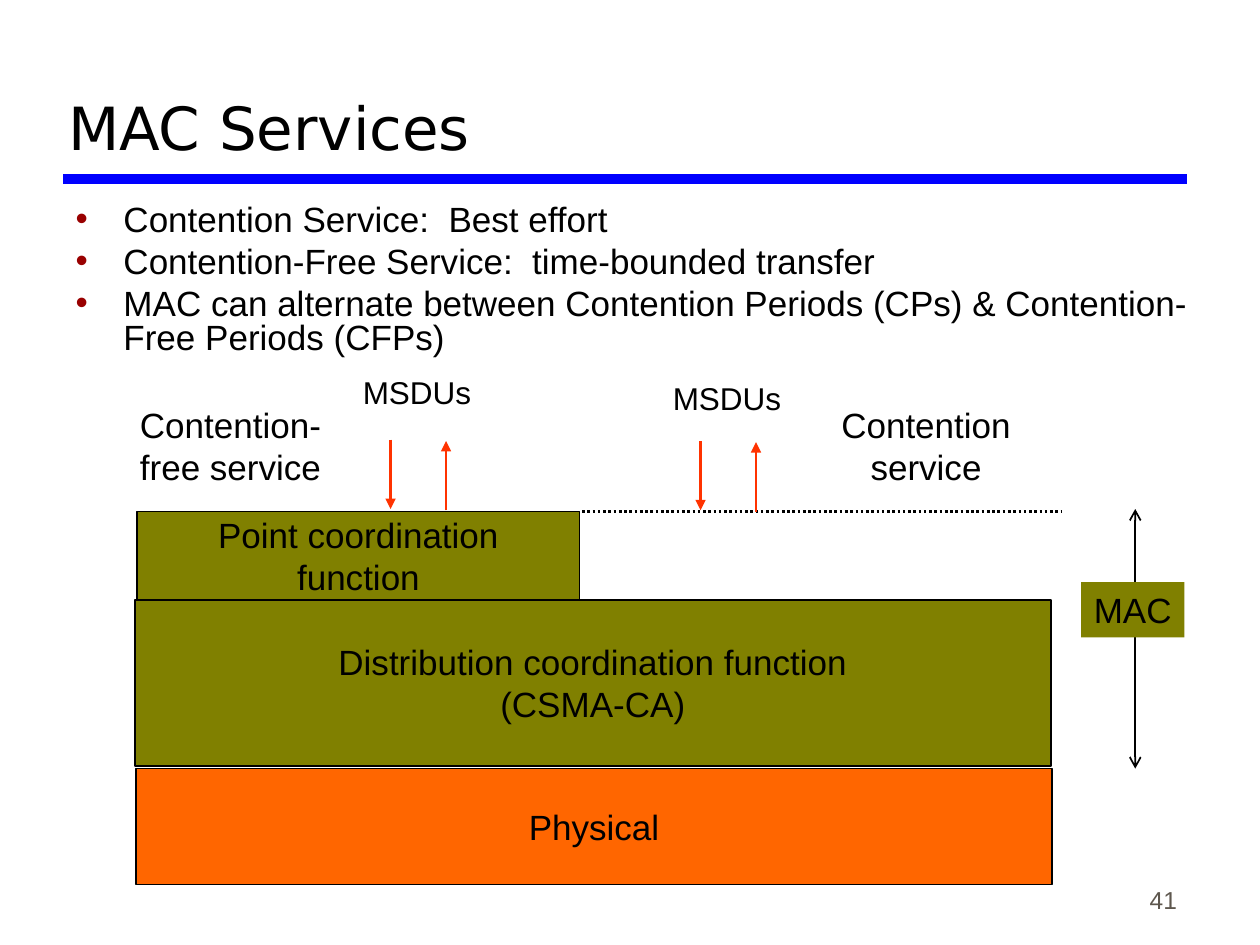
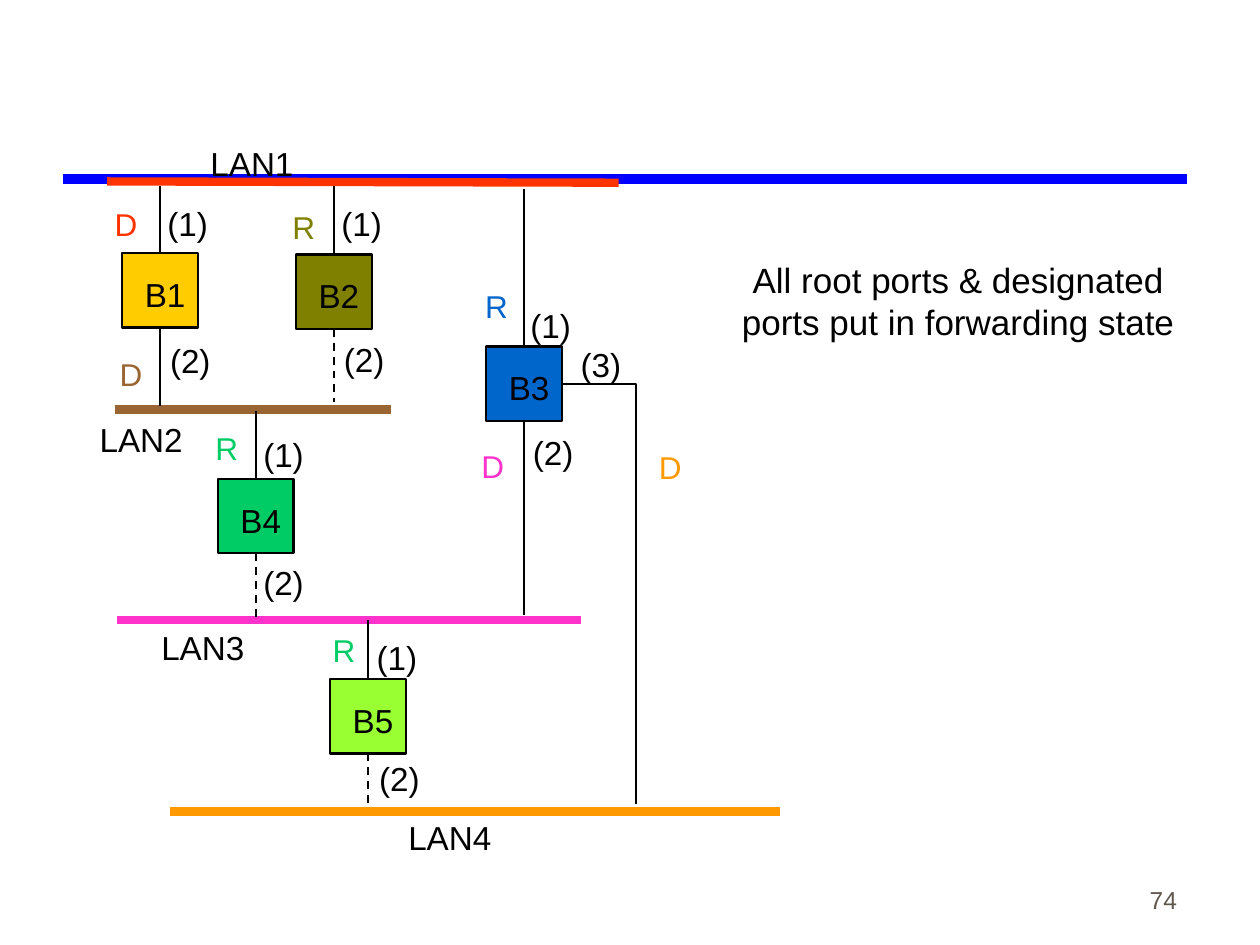
from lxml.etree import SubElement
from pptx import Presentation
from pptx.dml.color import RGBColor
from pptx.enum.dml import MSO_LINE_DASH_STYLE as Dash
from pptx.enum.shapes import MSO_CONNECTOR as Conn, MSO_SHAPE as Shape
from pptx.enum.text import MSO_ANCHOR as Anchor, MSO_AUTO_SIZE as AutoSize, PP_ALIGN as Align
from pptx.oxml.ns import qn
from pptx.util import Inches, Pt

BLACK, BLUE, RED, OLIVE = "000000", "0000FF", "FF3300", "808000"
BROWN, PINK, AMBER = "996633", "FF33CC", "FF9900"
SKY, GREEN, LIME, YELLOW, ORANGE = "0066CC", "00CC66", "99FF33", "FFCC00", "FF6600"
GREY, MAROON = "5E574E", "990000"
TOP, BOTTOM = 0, 2
TITLE_AND_BODY, BLANK = 1, 6


def rgb(value):
    return RGBColor.from_string(value)


def inches(*values):
    return [Inches(v) for v in values]


def add_bullet(p, color, char="•", indent=0.38):
    pPr = p._p.get_or_add_pPr()
    pPr.set("marL", str(Inches(indent)))
    pPr.set("indent", str(-Inches(indent)))
    SubElement(SubElement(pPr, qn("a:buClr")), qn("a:srgbClr"), val=color)
    SubElement(pPr, qn("a:buChar"), char=char)


def write(tf, text, size=20, color=BLACK, font="Arial", align=Align.CENTER,
          anchor=Anchor.TOP, wrap=True, margins=(0.1, 0.05, 0.1, 0.05),
          bullet=None, line_spacing=None, gap=0):
    """Fill a text frame with one paragraph per line of text."""
    tf.auto_size = AutoSize.NONE
    tf.word_wrap = wrap
    tf.vertical_anchor = anchor
    tf.margin_left, tf.margin_top, tf.margin_right, tf.margin_bottom = inches(*margins)
    for i, line in enumerate(text.split("\n")):
        p = tf.add_paragraph() if i else tf.paragraphs[0]
        p.alignment = align
        p.space_before = Pt(gap if i else 0)
        if line_spacing:
            p.line_spacing = line_spacing
        if bullet:
            add_bullet(p, bullet)
        r = p.add_run()
        r.text = line
        r.font.name, r.font.size = font, Pt(size)
        r.font.color.rgb = rgb(color)


class Deck:
    def __init__(self):
        self.prs = Presentation()
        self.prs.slide_width, self.prs.slide_height = inches(10, 7.5)
        self.s = None

    def new_slide(self, layout, number):
        """Start a slide with the blue rule and its number."""
        self.s = self.prs.slides.add_slide(self.prs.slide_layouts[layout])
        self.line((0.5, 1.42), (9.42, 1.42), BLUE, 6)
        self.text((7.36, 6.81, 2.08, 0.5), number, size=14, color=GREY,
                  align=Align.RIGHT, anchor=Anchor.BOTTOM)

    def placeholder(self, index, box, text, **fmt):
        sp = self.s.placeholders[index]
        sp.left, sp.top, sp.width, sp.height = inches(*box)
        write(sp.text_frame, text, align=Align.LEFT, **fmt)

    def text(self, box, text, **fmt):
        write(self.s.shapes.add_textbox(*inches(*box)).text_frame, text, **fmt)

    def rect(self, box, fill, text, border=1, **fmt):
        sp = self.s.shapes.add_shape(Shape.RECTANGLE, *inches(*box))
        sp.shadow.inherit = False
        sp.fill.solid()
        sp.fill.fore_color.rgb = rgb(fill)
        self.outline(sp.line, BLACK, border)
        write(sp.text_frame, text, anchor=Anchor.MIDDLE, **fmt)
        return sp

    def outline(self, line, color, width):
        if width:
            line.color.rgb = rgb(color)
            line.width = Pt(width)
        else:
            line.fill.background()

    def line(self, start, end, color=BLACK, width=1.13, dash=None,
             head=None, tail=None, joined=None):
        """Draw a straight line; joined is the (shape, side) at its start."""
        c = self.s.shapes.add_connector(Conn.STRAIGHT, *inches(*start, *end))
        self.outline(c.line, color, width)
        if dash:
            c.line.dash_style = dash
        spPr = c._element.spPr
        for tag, kind in (("a:headEnd", head), ("a:tailEnd", tail)):
            if kind:
                SubElement(spPr.find(qn("a:ln")), qn(tag), type=kind)
        SubElement(spPr, qn("a:effectLst"))
        if joined:
            c.begin_connect(*joined)

    def polyline(self, points, width=1.13):
        first, *rest = [inches(*point) for point in points]
        builder = self.s.shapes.build_freeform(*first)
        builder.add_line_segments(rest, close=False)
        sp = builder.convert_to_shape()
        sp.shadow.inherit = False
        sp.fill.background()
        self.outline(sp.line, BLACK, width)


def mac_services(d):
    d.new_slide(TITLE_AND_BODY, "41")
    d.placeholder(0, (0.44, 0.17, 8.97, 1.17), "MAC Services", size=34,
                  font="DejaVu Sans", anchor=Anchor.BOTTOM)
    d.placeholder(1, (0.5, 1.58, 9.08, 1.49),
                  "Contention Service:  Best effort\n"
                  "Contention-Free Service:  time-bounded transfer\n"
                  "MAC can alternate between Contention Periods (CPs) & "
                  "Contention-Free Periods (CFPs)",
                  bullet=MAROON, line_spacing=0.8, gap=5)

    d.line((9.01, 4.04), (9.01, 6.1), width=1, head="arrow", tail="arrow")
    d.rect((8.58, 4.62, 0.82, 0.44), OLIVE, "MAC", border=0, wrap=False)
    d.rect((1.08, 6.1, 7.27, 0.92), ORANGE, "Physical")
    d.rect((1.07, 4.76, 7.27, 1.32), OLIVE,
           "Distribution coordination function\n(CSMA-CA)")
    d.rect((1.09, 4.06, 3.51, 0.7), OLIVE, "Point coordination\nfunction")
    d.line((4.62, 4.06), (8.42, 4.06), width=1.5, dash=Dash.ROUND_DOT)

    for left, width, label in ((1.01, 1.64, "Contention-free service"),
                               (6.35, 2, "Contention service")):
        d.text((left, 3.15, width, 0.77), label, anchor=Anchor.MIDDLE)
    for left, label_top, top in ((2.78, 2.91, 3.49), (5.24, 2.96, 3.5)):
        d.text((left, label_top, 1.06, 0.4), "MSDUs", size=18, wrap=False)
        down, up = left + 0.32, left + 0.76
        d.line((down, top), (down, top + 0.55), RED, 1.5, tail="triangle")
        d.line((up, top + 0.56), (up, top + 0.01), RED, 1.5, tail="triangle")


def spanning_tree(d):
    d.new_slide(BLANK, "74")
    plain = dict(size=19, wrap=False, margins=(0, 0, 0, 0))

    # name, line start, line end, colour, label corner
    lans = (("LAN1", (0.85, 1.44), (4.91, 1.45), RED, (1.67, 1.14)),
            ("LAN2", (0.91, 3.25), (3.1, 3.25), BROWN, (0.79, 3.33)),
            ("LAN3", (0.93, 4.92), (4.61, 4.92), PINK, (1.28, 4.98)),
            ("LAN4", (1.35, 6.44), (6.19, 6.44), AMBER, (3.24, 6.49)))
    for name, start, end, color, corner in lans:
        d.line(start, end, color, 4.75)
        d.text((*corner, 0.66, 0.32), name, **plain)

    # name, corner, colour, end of upper link, end of lower link, lower link style
    bridges = (("B1", 0.97, 2.01, YELLOW, 1.48, 3.22, None),
               ("B2", 2.35, 2.02, OLIVE, 1.48, 3.19, Dash.DASH),
               ("B3", 3.86, 2.75, SKY, 1.5, 4.88, None),
               ("B4", 1.73, 3.8, GREEN, 3.26, 4.92, Dash.DASH),
               ("B5", 2.62, 5.39, LIME, 4.92, 6.42, Dash.DASH))
    side, tall = 0.6, 0.59
    for name, left, top, color, up, down, dash in bridges:
        bridge = d.rect((left, top, side, tall), color, name, border=1.25,
                        size=19, margins=(0.08, 0.06, 0, 0))
        mid = left + side / 2
        d.line((mid, top), (mid, up), joined=(bridge, TOP))
        d.line((mid, top + tall), (mid, down), dash=dash, joined=(bridge, BOTTOM))
    d.polyline(((4.47, 3.05), (5.05, 3.05), (5.05, 6.38)))

    ports = {"(1)": ((1.33, 1.61), (2.71, 1.61), (2.09, 3.45), (4.21, 2.42), (2.99, 5.06)),
             "(2)": ((1.35, 2.7), (2.73, 2.69), (2.09, 4.46), (3.01, 6.02), (4.23, 3.43)),
             "(3)": ((4.61, 2.73),)}
    for port, corners in ports.items():
        for corner in corners:
            d.text((*corner, 0.32, 0.32), port, **plain)

    roles = {"R": ((2.22, 1.6, OLIVE), (3.75, 2.23, SKY),
                   (1.61, 3.36, GREEN), (2.54, 4.96, GREEN)),
             "D": ((0.81, 1.58, RED), (0.85, 2.77, BROWN),
                   (3.72, 3.5, PINK), (5.13, 3.51, AMBER))}
    for role, marks in roles.items():
        for left, top, color in marks:
            d.text((left, top, 0.38, 0.4), role, size=18, color=color, wrap=False)

    d.text((5.78, 2, 3.65, 0.77),
           "All root ports & designated ports put in forwarding state")


def main():
    d = Deck()
    mac_services(d)
    spanning_tree(d)
    d.prs.save("out.pptx")


if __name__ == "__main__":
    main()
